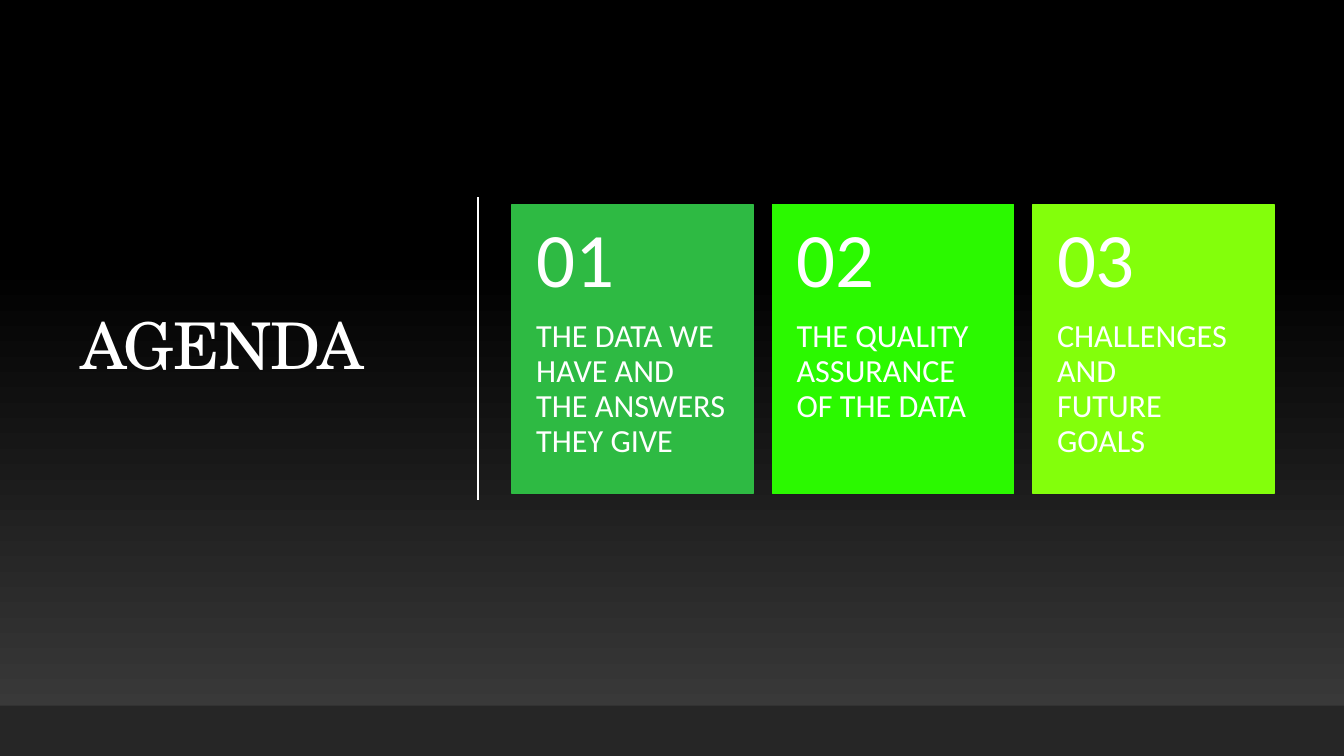
from dataclasses import dataclass

from lxml import etree
from pptx import Presentation
from pptx.dml.color import RGBColor
from pptx.dml.fill import FillFormat
from pptx.enum.shapes import MSO_CONNECTOR, MSO_SHAPE
from pptx.enum.text import MSO_ANCHOR
from pptx.oxml.ns import qn
from pptx.shapes.autoshape import Shape
from pptx.slide import Slide
from pptx.util import Pt

RECTANGLE = MSO_SHAPE.RECTANGLE
STRAIGHT = MSO_CONNECTOR.STRAIGHT
TOP, MIDDLE = MSO_ANCHOR.TOP, MSO_ANCHOR.MIDDLE

WHITE = RGBColor(0xFF, 0xFF, 0xFF)
BLACK = RGBColor(0x00, 0x00, 0x00)
GRAY = RGBColor(0x3F, 0x3F, 0x3F)
FOOTER_GRAY = RGBColor(0x26, 0x26, 0x26)
GREEN = RGBColor(0x2E, 0xBA, 0x43)
BRIGHT_GREEN = RGBColor(0x2B, 0xF9, 0x00)
LIME = RGBColor(0x83, 0xFF, 0x0B)

TITLE_FONT = "TeX Gyre Schola"
BODY_FONT = "Calibri"

SLIDE_WIDTH, SLIDE_HEIGHT = 960, 540
FOOTER_HEIGHT = 36
DIVIDER_X, DIVIDER_TOP, DIVIDER_BOTTOM = 341.5, 141, 357
CARD_LEFT, CARD_TOP, CARD_PITCH = 365.8, 146, 186
CARD_WIDTH, CARD_HEIGHT, NUMBER_HEIGHT = 172.2, 206.6, 82.6
CARD_INSET = 17.2


@dataclass(frozen=True)
class Card:
    topic: str
    color: RGBColor


CARDS = (
    Card("THE DATA WE HAVE AND THE ANSWERS THEY GIVE", GREEN),
    Card("THE QUALITY ASSURANCE OF THE DATA", BRIGHT_GREEN),
    Card("CHALLENGES AND \vFUTURE GOALS", LIME),
)


def apply_gradient(fill: FillFormat) -> None:
    """Fade from gray at the bottom to black at 65% of the height."""
    fill.gradient()
    fill.gradient_angle = 90
    for stop, color, position in zip(fill.gradient_stops, (GRAY, BLACK), (0, 0.65)):
        stop.color.rgb = color
        stop.position = position


def add_rectangle(slide: Slide, left: float, top: float, width: float, height: float) -> Shape:
    """Add a rectangle without outline or shadow."""
    shape = slide.shapes.add_shape(RECTANGLE, Pt(left), Pt(top), Pt(width), Pt(height))
    shape.shadow.inherit = False
    shape.line.fill.background()
    return shape


def add_text(slide: Slide, text: str, *, left: float, top: float, width: float,
             height: float, size: float, font: str = BODY_FONT,
             anchor: MSO_ANCHOR = TOP, spacing: float = 0,
             insets: tuple[float, float, float, float] = (7.2, 3.6, 7.2, 3.6)) -> None:
    """Add a white text box; insets run left, top, right, bottom."""
    box = slide.shapes.add_textbox(Pt(left), Pt(top), Pt(width), Pt(height))
    frame = box.text_frame
    frame.word_wrap = True
    frame.vertical_anchor = anchor
    frame.margin_left, frame.margin_top, frame.margin_right, frame.margin_bottom = map(Pt, insets)
    para = frame.paragraphs[0]
    para.text = text
    para.line_spacing = 0.9
    for span in para.runs:
        span.font.name = font
        span.font.size = Pt(size)
        span.font.color.rgb = WHITE
        if spacing:
            span.font._element.set("spc", str(round(spacing * 100)))


def add_divider(slide: Slide) -> None:
    divider = slide.shapes.add_connector(
        STRAIGHT, Pt(DIVIDER_X), Pt(DIVIDER_TOP), Pt(DIVIDER_X), Pt(DIVIDER_BOTTOM))
    divider.line.color.rgb = WHITE
    divider.line.width = Pt(1)
    etree.SubElement(divider._element.spPr, qn("a:effectLst"))


def add_card(slide: Slide, index: int, card: Card) -> None:
    left = CARD_LEFT + index * CARD_PITCH
    panel = add_rectangle(slide, left, CARD_TOP, CARD_WIDTH, CARD_HEIGHT)
    panel.fill.solid()
    panel.fill.fore_color.rgb = card.color
    panel.line.color.rgb = card.color
    panel.line.width = Pt(1.25)
    add_text(slide, card.topic, left=left, top=CARD_TOP + NUMBER_HEIGHT,
             width=CARD_WIDTH, height=CARD_HEIGHT - NUMBER_HEIGHT, size=23,
             insets=(CARD_INSET, 0, CARD_INSET, 26))
    add_text(slide, f"{index + 1:02}", left=left, top=CARD_TOP,
             width=CARD_WIDTH, height=NUMBER_HEIGHT, size=55, anchor=MIDDLE,
             insets=(CARD_INSET, 13, CARD_INSET, 13))


def main() -> None:
    deck = Presentation()
    deck.slide_width, deck.slide_height = Pt(SLIDE_WIDTH), Pt(SLIDE_HEIGHT)
    slide = deck.slides.add_slide(deck.slide_layouts[6])

    apply_gradient(slide.background.fill)
    backdrop = add_rectangle(slide, 0, 0, SLIDE_WIDTH, SLIDE_HEIGHT)
    apply_gradient(backdrop.fill)
    add_text(slide, "AGENDA", left=50.4, top=49.7, width=265.7, height=398.2,
             size=46, font=TITLE_FONT, anchor=MIDDLE, spacing=-0.5)
    add_divider(slide)
    footer = add_rectangle(slide, 0, SLIDE_HEIGHT - FOOTER_HEIGHT, SLIDE_WIDTH, FOOTER_HEIGHT)
    footer.fill.solid()
    footer.fill.fore_color.rgb = FOOTER_GRAY
    for index, card in enumerate(CARDS):
        add_card(slide, index, card)

    deck.save("out.pptx")


if __name__ == "__main__":
    main()
